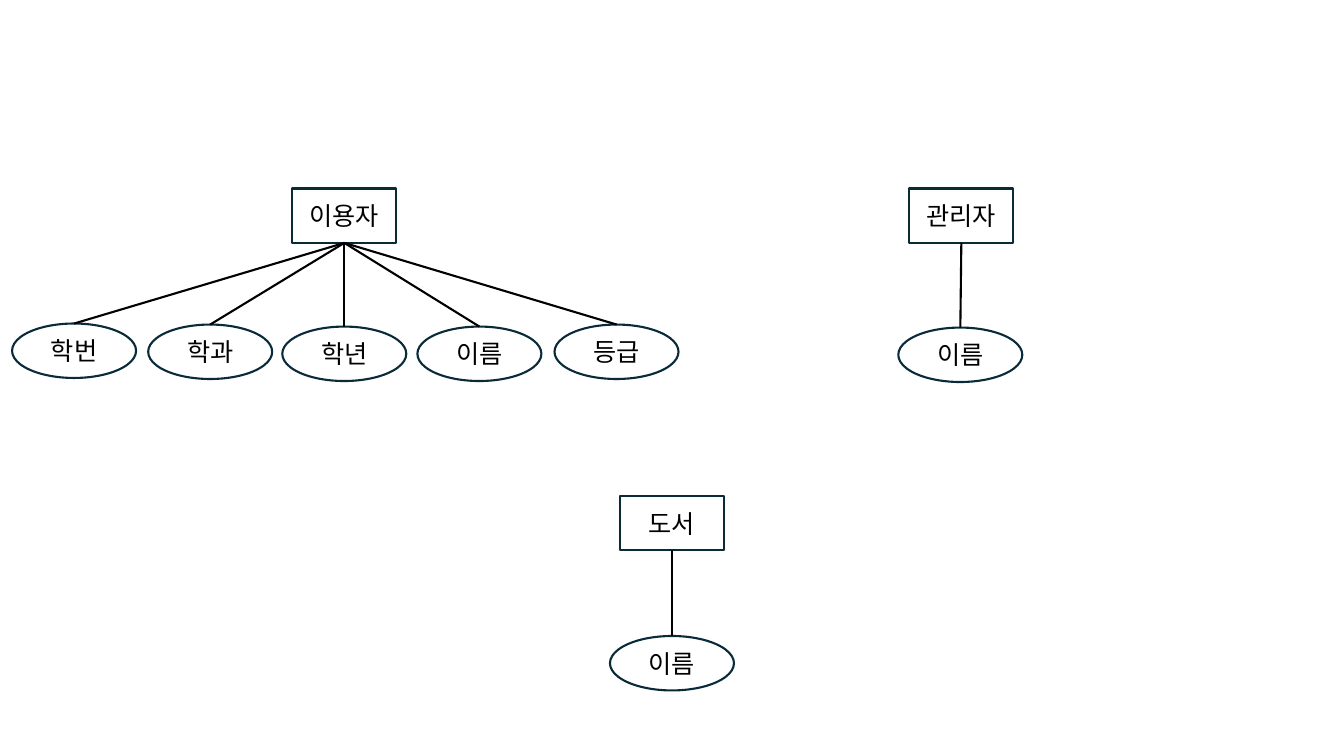
from lxml.etree import SubElement
from pptx import Presentation
from pptx.dml.color import RGBColor
from pptx.enum.shapes import MSO_CONNECTOR as Connector, MSO_SHAPE as Shape
from pptx.enum.text import MSO_ANCHOR as Anchor, PP_ALIGN as Align
from pptx.oxml.ns import qn
from pptx.util import Inches, Pt

FONT = "Noto Sans CJK KR"
COLORS = {"fill": "FFFFFF", "outline": "092A39", "text": "000000", "link": "000000"}
ENTITY_WIDTH, ATTRIBUTE_WIDTH, NODE_HEIGHT = 1.03, 1.23, 0.54
TOP, BOTTOM = 0, 2  # connection sites

# Entity name, left, top, then its attributes as (name, left, top)
ENTITIES = [
    ("이용자", 2.9, 1.87, [
        ("학번", 0.12, 3.21),
        ("학과", 1.47, 3.22),
        ("학년", 2.8, 3.24),
        ("이름", 4.14, 3.24),
        ("등급", 5.5, 3.22),
    ]),
    ("관리자", 9.02, 1.87, [("이름", 8.91, 3.25)]),
    ("도서", 6.15, 4.92, [("이름", 6.05, 6.31)]),
]


def color(name):
    return RGBColor.from_string(COLORS[name])


def add_node(slide, kind, text, left, top, width):
    shape = slide.shapes.add_shape(
        kind, Inches(left), Inches(top), Inches(width), Inches(NODE_HEIGHT))
    shape.shadow.inherit = False
    shape.fill.solid()
    shape.fill.fore_color.rgb = color("fill")
    shape.line.color.rgb = color("outline")
    shape.line.width = Pt(1.5)

    # Centred label
    frame = shape.text_frame
    frame.word_wrap = True
    frame.vertical_anchor = Anchor.MIDDLE
    paragraph = frame.paragraphs[0]
    paragraph.alignment = Align.CENTER
    run = paragraph.add_run()
    run.text = text
    run.font.size = Pt(18)
    run.font.name = FONT
    run.font.color.rgb = color("text")
    # Hangul takes the East Asian typeface
    SubElement(run.font._element, qn("a:ea"), typeface=FONT)
    return shape


def add_link(slide, entity, attribute):
    connector = slide.shapes.add_connector(Connector.STRAIGHT, 0, 0, 0, 0)
    connector.begin_connect(entity, BOTTOM)
    connector.end_connect(attribute, TOP)
    connector.line.color.rgb = color("link")
    connector.line.width = Pt(1.5)
    SubElement(connector._element.spPr, qn("a:effectLst"))


def main():
    presentation = Presentation()
    presentation.slide_width = Inches(13.33)
    presentation.slide_height = Inches(7.5)
    slide = presentation.slides.add_slide(presentation.slide_layouts[6])

    # Entities with their attributes
    for name, left, top, attributes in ENTITIES:
        entity = add_node(slide, Shape.RECTANGLE, name, left, top, ENTITY_WIDTH)
        for label, x, y in attributes:
            attribute = add_node(slide, Shape.OVAL, label, x, y, ATTRIBUTE_WIDTH)
            add_link(slide, entity, attribute)

    presentation.save("out.pptx")


if __name__ == "__main__":
    main()
